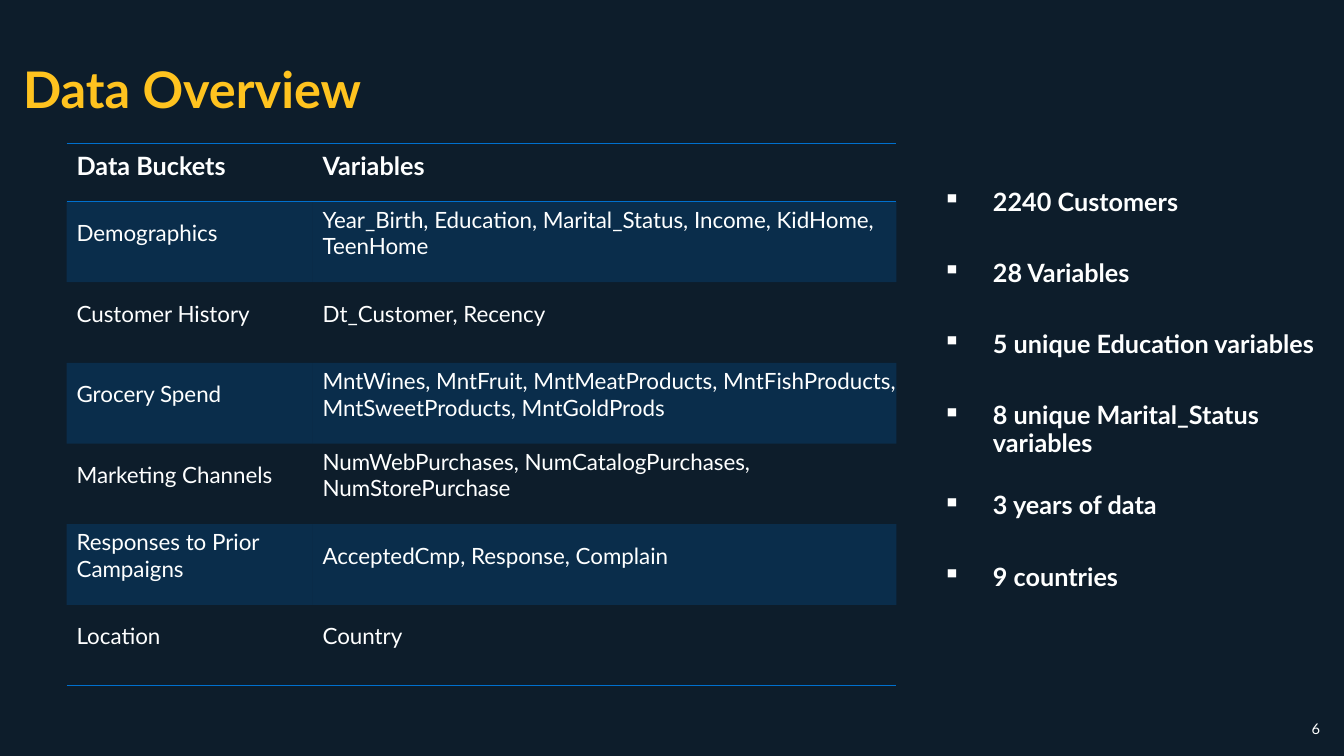
from lxml import etree
from pptx import Presentation
from pptx.dml.color import RGBColor
from pptx.enum.text import MSO_ANCHOR as Anchor
from pptx.oxml import parse_xml
from pptx.oxml.ns import nsdecls, qn
from pptx.util import Inches, Pt

NAVY = RGBColor(0x0D, 0x1D, 0x2B)
BLUE = RGBColor(0x00, 0x70, 0xCE)
GOLD = RGBColor(0xFF, 0xC3, 0x1F)
WHITE = RGBColor(0xFE, 0xFF, 0xFF)


def write(para, text, size=18, color=WHITE, bold=False):
    span = para.add_run()
    span.text = text
    span.font.name = "Lato"
    span.font.size = Pt(size)
    span.font.bold = bold
    span.font.color.rgb = color


deck = Presentation()
deck.slide_width, deck.slide_height = Inches(13.33), Inches(7.5)
page = deck.slides.add_slide(deck.slide_layouts[6])
page.background.fill.solid()
page.background.fill.fore_color.rgb = NAVY

# Key facts
facts = [
    "2240 Customers",
    "28 Variables",
    "5 unique Education variables",
    "8 unique Marital_Status variables",
    "3 years of data",
    "9 countries",
]
facts_frame = page.shapes.add_textbox(
    Inches(9.25), Inches(-0.08), Inches(4.08), Inches(7.5)).text_frame
facts_frame.word_wrap = True
facts_frame.margin_top = Inches(1.96)
for index, fact in enumerate(facts):
    para = facts_frame.add_paragraph() if index else facts_frame.paragraphs[0]
    props = para._p.get_or_add_pPr()
    props.set("marL", str(Inches(0.5)))
    props.set("indent", str(Inches(-0.5)))
    etree.SubElement(props, qn("a:buChar")).set("char", "▪")
    para.line_spacing = 0.9
    para.space_after = Pt(25.5 if "Marital" in fact else 31.4)
    write(para, fact, bold=True)

# Table of data buckets
rows = [
    ("Data Buckets", "Variables"),
    ("Demographics",
     "Year_Birth, Education, Marital_Status, Income, KidHome, TeenHome"),
    ("Customer History", "Dt_Customer, Recency"),
    ("Grocery Spend",
     "MntWines, MntFruit, MntMeatProducts, MntFishProducts, "
     "MntSweetProducts, MntGoldProds"),
    ("Marketing Channels",
     "NumWebPurchases, NumCatalogPurchases, NumStorePurchase"),
    ("Responses to Prior Campaigns", "AcceptedCmp, Response, Complain"),
    ("Location", "Country"),
]
last = len(rows) - 1
borders = {0: ("lnT", "lnB"), last: ("lnB",)}
table = page.shapes.add_table(
    len(rows), 2, Inches(0.66), Inches(1.42), Inches(8.23), Inches(5.38)).table
table.first_row = table.horz_banding = False
# Built-in style without fills or grid lines
table._tbl.tblPr.find(qn("a:tableStyleId")).text = (
    "{2D5ABB26-0587-4C30-8999-92F81FD0307C}")
table.columns[0].width = Inches(2.44)
table.columns[1].width = Inches(5.79)

for row_index, texts in enumerate(rows):
    header = row_index == 0
    table.rows[row_index].height = Inches(0.58 if header else 0.8)
    for column_index, text in enumerate(texts):
        cell = table.cell(row_index, column_index)
        cell.margin_left, cell.margin_right = Inches(0.1), 0
        cell.margin_top, cell.margin_bottom = Inches(0.03), Inches(0.21)
        cell.vertical_anchor = Anchor.BOTTOM if header else Anchor.MIDDLE
        write(cell.text_frame.paragraphs[0], text,
              size=18 if header else 16, bold=header)
        cell_props = cell._tc.get_or_add_tcPr()
        for side in borders.get(row_index, ()):
            cell_props.append(parse_xml(
                f'<a:{side} {nsdecls("a")} w="{Pt(1)}"><a:solidFill>'
                f'<a:srgbClr val="{BLUE}"/></a:solidFill></a:{side}>'))
        if row_index % 2:
            cell.fill.solid()
            cell.fill.fore_color.rgb = BLUE
            tint = cell_props.find(qn("a:solidFill")).find(qn("a:srgbClr"))
            etree.SubElement(tint, qn("a:alpha")).set("val", "20000")

# Title
title_frame = page.shapes.add_textbox(
    Inches(0.13), Inches(0.25), Inches(6.51), Inches(1.25)).text_frame
title_frame.word_wrap = True
title_frame.vertical_anchor = Anchor.MIDDLE
title_frame.paragraphs[0].space_after = Pt(5)
write(title_frame.paragraphs[0], "Data Overview", size=36, color=GOLD, bold=True)

# Page number
number_frame = page.shapes.add_textbox(
    Inches(12.91), Inches(7.09), Inches(0.28), Inches(0.29)).text_frame
number_frame.word_wrap = False
write(number_frame.paragraphs[0], "6", size=10.5)

deck.save("out.pptx")
